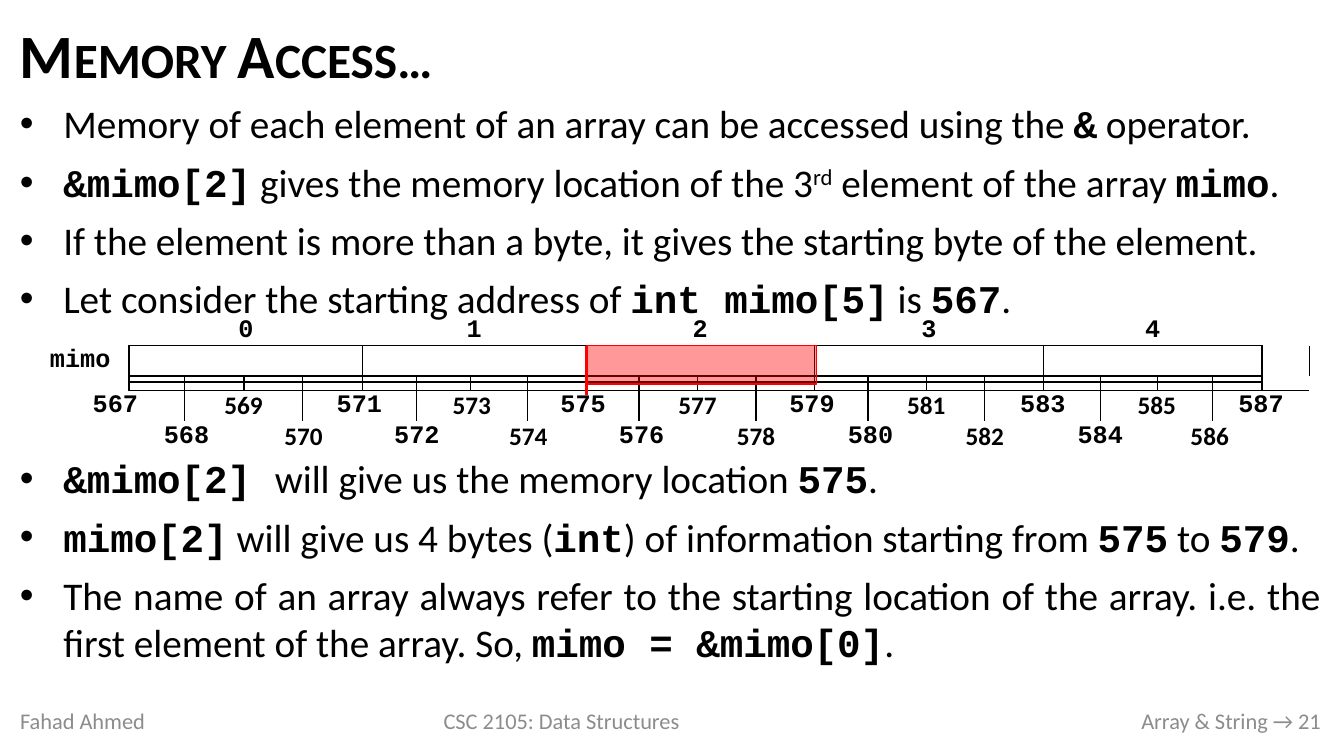
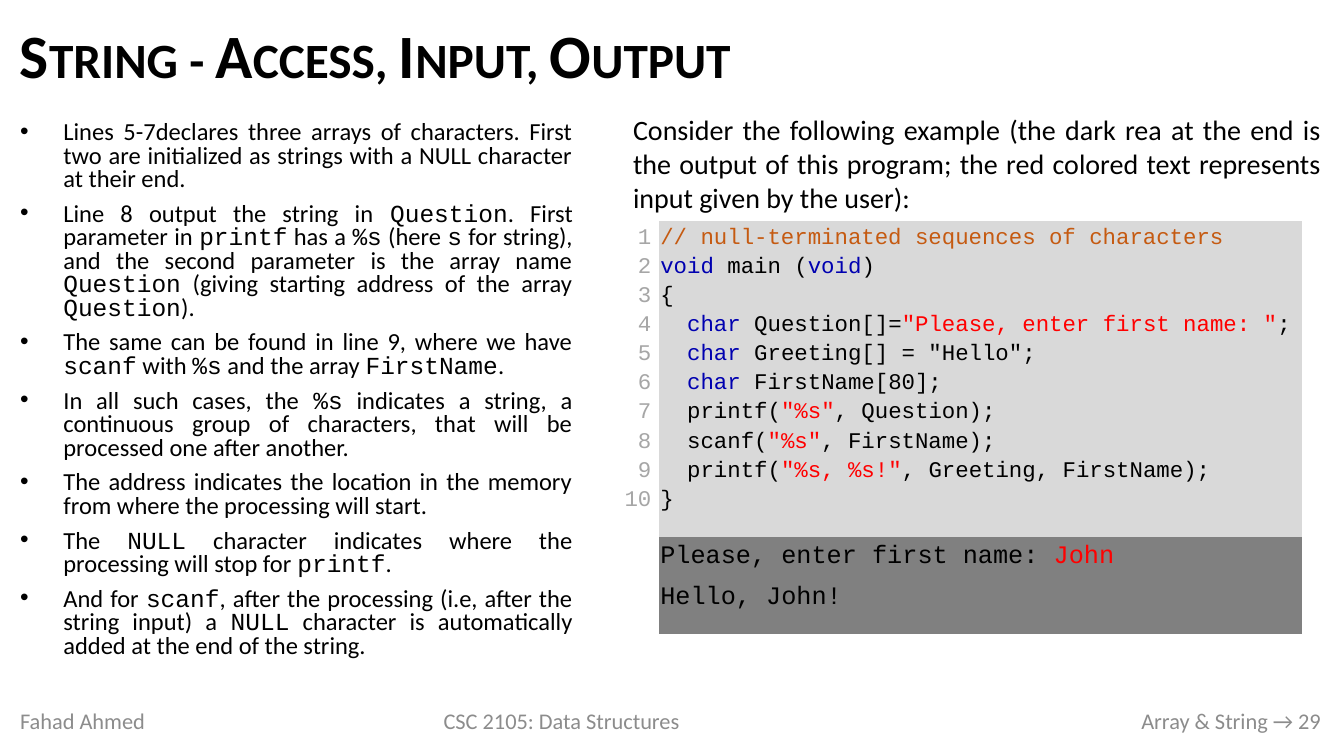
import pptx
import pptx.util
import pptx.dml.color
import pptx.enum.shapes
import pptx.enum.text
import pptx.oxml.ns
from dataclasses import dataclass
from lxml import etree

Inches = pptx.util.Inches
Pt = pptx.util.Pt
qn = pptx.oxml.ns.qn
ALIGN = pptx.enum.text.PP_ALIGN
ANCHOR = pptx.enum.text.MSO_ANCHOR


@dataclass(frozen=True)
class Theme:
    sans: str = "Calibri"
    mono: str = "Courier New"
    ink: str = "000000"
    muted: str = "8C8C8C"
    line_number: str = "A6A6A6"
    keyword: str = "0000B0"
    accent: str = "FF0000"
    comment: str = "C55A11"
    code_fill: str = "D9D9D9"
    output_fill: str = "808080"
    title_size: float = 44
    body_size: float = 28
    detail_size: float = 17.5
    intro_size: float = 20
    label_size: float = 18
    code_size: float = 16
    footer_size: float = 16
    plain_table: str = "{2D5ABB26-0587-4C30-8999-92F81FD0307C}"


THEME = Theme()
BOLD_CODE = {"`": {"name": THEME.mono, "bold": True}, "^": {"baseline": "30000"}}
INLINE_CODE = {"`": {"name": THEME.mono}}
SYNTAX = {"`": {"color": THEME.keyword}, "^": {"color": THEME.accent},
          "~": {"color": THEME.comment}}


def split_runs(text, marks):
    active, piece = None, ""
    for letter in text:
        if letter in marks:
            if piece:
                yield piece, marks.get(active, {})
            active, piece = (None if active == letter else letter), ""
        else:
            piece += letter
    if piece:
        yield piece, marks.get(active, {})


def set_format(target, values):
    for name, value in values.items():
        setattr(target, name, value)


class Deck:
    def __init__(self, theme):
        self.theme = theme
        self.deck = pptx.Presentation()
        set_format(self.deck, {"slide_width": Inches(13.33), "slide_height": Inches(7.5)})
        self.slide = None

    def start(self, title, number):
        self.slide = self.deck.slides.add_slide(self.deck.slide_layouts[6])
        self.text((0.1, 0.11, 13.1, 0.95), [title],
                  {"size": Pt(self.theme.title_size), "bold": True, "cap": "small"},
                  {"line_spacing": 0.9}, anchor=ANCHOR.MIDDLE)
        footers = [(0.1, 2.41, "Fahad Ahmed", ALIGN.LEFT),
                   (3.89, 3.36, "CSC 2105: Data Structures", ALIGN.CENTER),
                   (7.71, 5.49, f"Array & String → {number}", ALIGN.RIGHT)]
        for left, width, words, alignment in footers:
            self.text((left, 6.95, width, 0.4), [words],
                      {"size": Pt(self.theme.footer_size), "color": self.theme.muted},
                      {"alignment": alignment}, anchor=ANCHOR.MIDDLE)

    def fill_frame(self, frame, lines, font, layout, marks=None, bullet=False):
        base = {"name": self.theme.sans, "color": self.theme.ink, **font}
        for index, line in enumerate(lines):
            paragraph = frame.paragraphs[0] if index == 0 else frame.add_paragraph()
            set_format(paragraph, layout)
            if bullet:
                properties = paragraph._p.get_or_add_pPr()
                properties.set("marL", str(Inches(0.43)))
                properties.set("indent", str(-Inches(0.43)))
                etree.SubElement(properties, qn("a:buFont"), typeface="Arial")
                etree.SubElement(properties, qn("a:buChar"), char="•")
            for words, change in split_runs(line, marks or {}):
                values = {**base, **change}
                run = paragraph.add_run()
                run.text = words
                run.font.color.rgb = pptx.dml.color.RGBColor.from_string(values.pop("color"))
                for attribute in ("cap", "baseline"):
                    if attribute in values:
                        run._r.get_or_add_rPr().set(attribute, values.pop(attribute))
                set_format(run.font, values)

    def text(self, box, lines, font, layout, marks=None, bullet=False, anchor=ANCHOR.TOP):
        frame = self.slide.shapes.add_textbox(*map(Inches, box)).text_frame
        set_format(frame, {"word_wrap": True, "vertical_anchor": anchor})
        self.fill_frame(frame, lines, font, layout, marks, bullet)
        return frame

    def bullets(self, box, lines, size, marks, line_spacing=1.0):
        layout = {"alignment": ALIGN.JUSTIFY, "space_before": Pt(4), "space_after": Pt(4),
                  "line_spacing": line_spacing}
        return self.text(box, lines, {"size": Pt(size)}, layout, marks, bullet=True)

    def table(self, left, top, widths, heights):
        box = map(Inches, (left, top, sum(widths), sum(heights)))
        grid = self.slide.shapes.add_table(len(heights), len(widths), *box).table
        set_format(grid, {"first_row": False, "horz_banding": False})
        grid._tbl.tblPr.find(qn("a:tableStyleId")).text = self.theme.plain_table
        for column, width in zip(grid.columns, widths):
            column.width = Inches(width)
        for row, height in zip(grid.rows, heights):
            row.height = Inches(height)
        for cell in grid.iter_cells():
            set_format(cell, dict.fromkeys(
                ("margin_left", "margin_right", "margin_top", "margin_bottom"), 0))
            cell.fill.background()
        return grid

    def cell(self, cell, lines, font, layout, marks=None, fill=None, anchor=ANCHOR.TOP):
        cell.vertical_anchor = anchor
        self.fill_frame(cell.text_frame, lines, font, layout, marks)
        if fill:
            cell.fill.solid()
            cell.fill.fore_color.rgb = pptx.dml.color.RGBColor.from_string(fill)

    def borders(self, cell, sides):
        properties = cell._tc.get_or_add_tcPr()
        for index, side in enumerate(sides):
            line = etree.Element(qn(f"a:ln{side}"), w=str(Pt(1)))
            solid = etree.SubElement(line, qn("a:solidFill"))
            etree.SubElement(solid, qn("a:srgbClr"), val=self.theme.ink)
            properties.insert(index, line)

    def line(self, start, end, color, width):
        ends = map(Inches, (*start, *end))
        line = self.slide.shapes.add_connector(pptx.enum.shapes.MSO_CONNECTOR.STRAIGHT, *ends)
        line.line.color.rgb = pptx.dml.color.RGBColor.from_string(color)
        line.line.width = Pt(width)
        etree.SubElement(line._element.spPr, qn("a:effectLst"))

    def highlight(self, box, color, opacity):
        area = self.slide.shapes.add_shape(
            pptx.enum.shapes.MSO_SHAPE.RECTANGLE, *map(Inches, box))
        area.shadow.inherit = False
        area.fill.solid()
        for part in (area.fill.fore_color, area.line.color):
            part.rgb = pptx.dml.color.RGBColor.from_string(color)
        area.line.width = Pt(1)
        tint = area._element.spPr.find(qn("a:solidFill")).find(qn("a:srgbClr"))
        etree.SubElement(tint, qn("a:alpha"), val=str(opacity * 1000))


def memory_map(deck):
    byte_widths = [0.55, 0.59, 0.58, 0.6, 0.53, 0.54, 0.56, 0.58, 0.53, 0.58,
                   0.58, 0.58, 0.53, 0.58, 0.58, 0.58, 0.57, 0.56, 0.55, 0.49]
    memory = deck.table(0.31, 3.13, [0.97, *byte_widths, 0.47],
                        [0.28, 0.3, 0.06, 0.08, 0.31, 0.3])
    first_address, byte_count, int_size = 567, len(byte_widths), 4

    def label(row, column, words, name=THEME.mono):
        deck.cell(memory.cell(row, column), [words],
                  {"size": Pt(THEME.label_size), "bold": True, "name": name},
                  {"alignment": ALIGN.CENTER}, anchor=ANCHOR.MIDDLE)

    for index, column in enumerate(range(1, byte_count + 1, int_size)):
        for row, sides in enumerate(("B", "LRT")):
            memory.cell(row, column).merge(memory.cell(row, column + int_size - 1))
            deck.borders(memory.cell(row, column), sides)
        label(0, column, str(index))
    label(1, 0, "mimo")

    for row in (1, 2, 3):
        deck.borders(memory.cell(row, 0), "R")
        deck.borders(memory.cell(row, byte_count + 1), "L")
    for column in range(1, byte_count + 1):
        deck.borders(memory.cell(2, column), "LRB")
        deck.borders(memory.cell(3, column), "LRT")

    for offset in range(byte_count + 1):
        row = 4 + offset % 2
        memory.cell(row, offset).merge(memory.cell(row, offset + 1))
        name = THEME.mono if offset % int_size < 2 else THEME.sans
        indent = " " if offset == 0 else ""
        label(row, offset, f"{indent}{first_address + offset}", name)
        if row == 4:
            sides = ("L" if offset > 0 else "") + ("R" if offset < byte_count else "")
            deck.borders(memory.cell(row, offset), sides)

    for cell in memory.iter_cells():
        if not cell.text_frame.text:
            etree.SubElement(cell.text_frame.paragraphs[0]._p, qn("a:endParaRPr"), sz="100")


def memory_access(deck):
    deck.start("Memory Access…", 21)
    points = deck.bullets((0.1, 0.94, 13.1, 5.88), [
        "Memory of each element of an array can be accessed using the `&` operator.",
        "`&mimo[2]` gives the memory location of the 3^rd^ element of the array `mimo`.",
        "If the element is more than a byte, it gives the starting byte of the element.",
        "Let consider the starting address of `int mimo[5]` is `567`.",
        "`&mimo[2] `will give us the memory location `575`.",
        "`mimo[2]` will give us 4 bytes (`int`) of information starting from `575` to `579`.",
        "The name of an array always refer to the starting location of the array. i.e. the "
        "first element of the array. So, `mimo = &mimo[0]`.",
    ], THEME.body_size, BOLD_CODE)
    points.paragraphs[4].space_before = Pt(91)
    memory_map(deck)
    deck.line((5.82, 3.43), (5.82, 3.92), THEME.accent, 2.25)
    deck.highlight((5.82, 3.43, 2.28, 0.38), THEME.accent, 40)


def string_access(deck):
    deck.start("String - Access, Input, Output", 29)
    deck.bullets((0.1, 1.16, 5.68, 5.66), [
        "Lines 5-7declares three arrays of characters. First two are initialized as strings "
        "with a NULL character at their end. ",
        "Line 8 output the string in `Question`. First parameter in `printf` has a `%s` "
        "(here `s` for string), and the second parameter is the array name `Question` "
        "(giving starting address of the array `Question`). ",
        "The same can be found in line 9, where we have `scanf` with `%s` and the array "
        "`FirstName`. ",
        "In all such cases, the `%s` indicates a string, a continuous group of characters, "
        "that will be processed one after another. ",
        "The address indicates the location in the memory from where the processing will "
        "start. ",
        "The `NULL` character indicates where the processing will stop for `printf`. ",
        "And for `scanf`, after the processing (i.e, after the string input) a `NULL` "
        "character is automatically added at the end of the string.",
    ], THEME.detail_size, INLINE_CODE, line_spacing=0.8)

    program = [
        "~// null-terminated sequences of characters~",
        "`void` main (`void`)",
        "{",
        '  `char` Question[]=^"Please, enter first name: "^;',
        '  `char` Greeting[] = "Hello";',
        "  `char `FirstName[80];",
        '  printf(^"%s"^, Question);',
        '  scanf(^"%s"^, FirstName);',
        '  printf(^"%s, %s!"^, Greeting, FirstName);',
        "}",
    ]
    listing = deck.table(6.18, 2.19, [0.36, 6.37], [3.14, 0.96])
    numbers, code, output = listing.cell(0, 0), listing.cell(0, 1), listing.cell(1, 1)
    for cell in (numbers, code, output):
        set_format(cell, {"margin_left": Inches(0.01), "margin_top": Inches(0.01)})
    set_format(numbers, {"margin_left": 0, "margin_right": Inches(0.08)})
    code_font = {"name": THEME.mono, "size": Pt(THEME.code_size)}
    deck.cell(numbers, [str(index + 1) for index in range(len(program))],
              {**code_font, "color": THEME.line_number},
              {"alignment": ALIGN.RIGHT, "line_spacing": 1.15})
    deck.cell(code, program, code_font, {"line_spacing": 1.15}, SYNTAX, THEME.code_fill)
    deck.cell(output, ["Please, enter first name: ^John^", "Hello, John!"],
              {**code_font, "size": Pt(THEME.label_size)}, {"line_spacing": 1.15},
              SYNTAX, THEME.output_fill)
    set_format(output.text_frame.paragraphs[1], {"space_before": Pt(6), "space_after": Pt(6)})

    deck.text((6.18, 1.07, 7.02, 1.11), [
        "Consider the following example (the dark rea at the end is the output of this "
        "program; the red colored text represents input given by the user):",
    ], {"size": Pt(THEME.intro_size)}, {"alignment": ALIGN.JUSTIFY})


def main():
    deck = Deck(THEME)
    memory_access(deck)
    string_access(deck)
    deck.deck.save("out.pptx")


if __name__ == "__main__":
    main()
